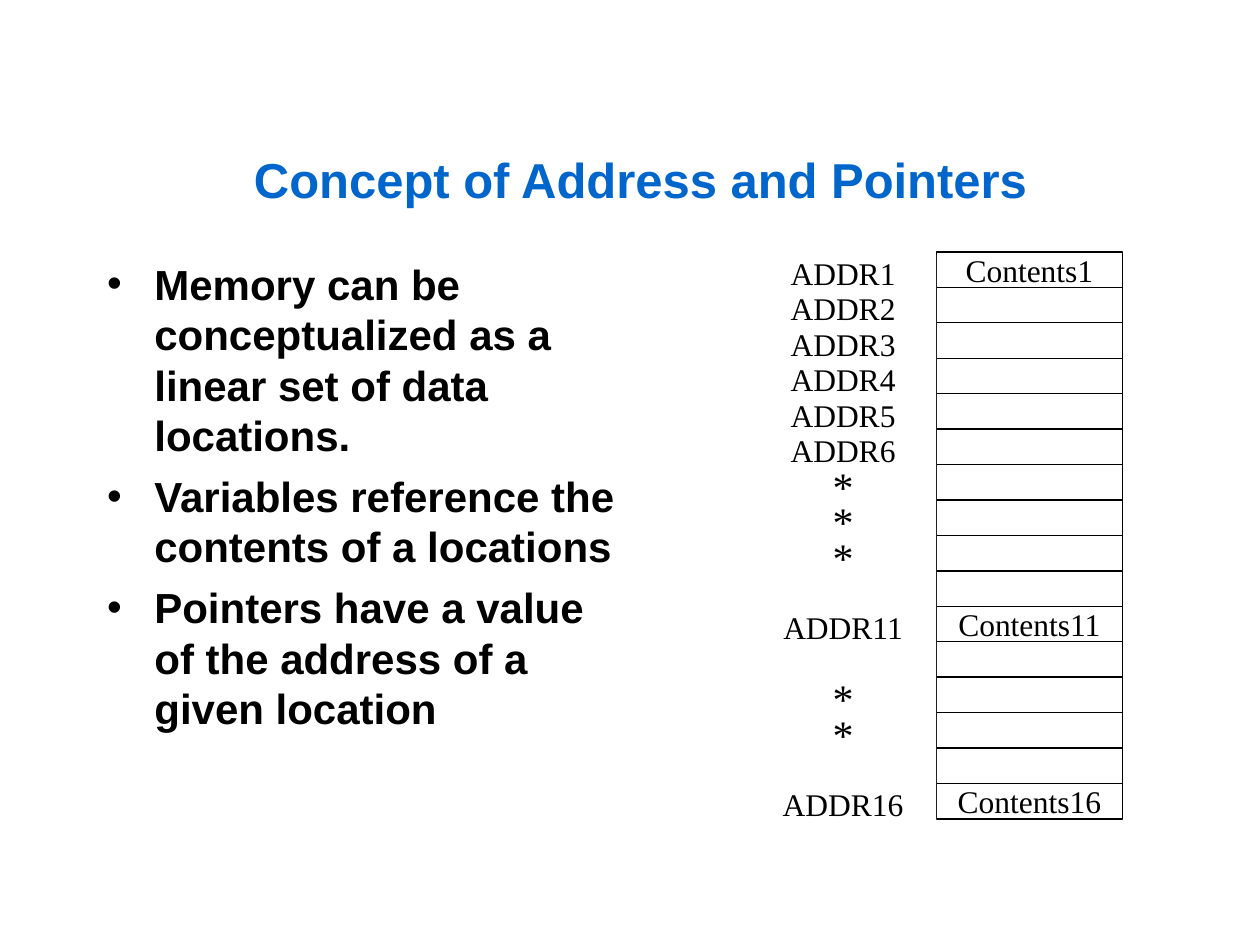
from dataclasses import dataclass
from typing import Optional

from pptx import Presentation
from pptx.dml.color import RGBColor
from pptx.enum.shapes import MSO_SHAPE as Shape
from pptx.enum.text import MSO_ANCHOR as Anchor, MSO_AUTO_SIZE as AutoSize, PP_ALIGN as Align
from pptx.util import Pt


@dataclass(frozen=True)
class Theme:
    title_color: RGBColor = RGBColor(0x00, 0x66, 0xCC)
    ink: RGBColor = RGBColor(0x00, 0x00, 0x00)
    paper: RGBColor = RGBColor(0xFF, 0xFF, 0xFF)
    heading_font: str = "Arial"
    memory_font: str = "Times New Roman"
    title_size: float = 28
    body_size: float = 24
    body_leading: float = 28.8
    label_size: float = 18
    star_size: float = 24
    cell_line: float = 0.75


@dataclass(frozen=True)
class Column:
    """A stack of memory cells; texts maps a 1-based row to what it shows."""
    left: float
    top: float
    texts: dict[int, str]
    line_color: Optional[RGBColor] = None


THEME = Theme()
ROWS = 16
CELL_WIDTH = 106.5
CELL_HEIGHT = 324 / ROWS
CELLS_LEFT = 535
CELLS_TOP = 144

CONTENTS = Column(
    CELLS_LEFT, CELLS_TOP,
    {row: f"Contents{row}" for row in (1, 11, 16)},
    THEME.ink,
)
ADDRESSES = Column(
    CELLS_LEFT - CELL_WIDTH, CELLS_TOP + 1.8,
    {row: f"ADDR{row}" for row in (1, 2, 3, 4, 5, 6, 11, 16)}
    | {row: "*" for row in (7, 8, 9, 13, 14)},
)
POINTS = (
    "Memory can be conceptualized as a linear set of data locations.",
    "Variables reference the contents of a locations",
    "Pointers have a value of the address of a given location",
)


def write(paragraph, text: str, *, font: str, size: float, color: RGBColor,
          bold: bool = False, align: Optional[Align] = None) -> None:
    run = paragraph.add_run()
    run.text = text
    run.font.name = font
    run.font.size = Pt(size)
    run.font.color.rgb = color
    run.font.bold = bold
    paragraph.alignment = align


def place(shape, left: float, top: float, width: float, height: float) -> None:
    shape.left, shape.top = Pt(left), Pt(top)
    shape.width, shape.height = Pt(width), Pt(height)
    shape.text_frame.auto_size = AutoSize.NONE


def fill_title(title) -> None:
    place(title, 60, 84, 612, 36)
    title.text_frame.vertical_anchor = Anchor.MIDDLE
    write(title.text_frame.paragraphs[0], "Concept of Address and Pointers",
          font=THEME.heading_font, size=THEME.title_size,
          color=THEME.title_color, bold=True, align=Align.CENTER)


def fill_body(body) -> None:
    place(body, 54, 144, 306, 324)
    frame = body.text_frame
    for index, point in enumerate(POINTS):
        paragraph = frame.add_paragraph() if index else frame.paragraphs[0]
        paragraph.space_before = Pt(6)
        paragraph.line_spacing = Pt(THEME.body_leading)
        write(paragraph, point, font=THEME.heading_font,
              size=THEME.body_size, color=THEME.ink, bold=True)


def draw_column(slide, column: Column) -> None:
    for row in range(1, ROWS + 1):
        cell = slide.shapes.add_shape(
            Shape.RECTANGLE, Pt(column.left), Pt(column.top + (row - 1) * CELL_HEIGHT),
            Pt(CELL_WIDTH), Pt(CELL_HEIGHT))
        cell.shadow.inherit = False
        cell.fill.solid()
        cell.fill.fore_color.rgb = THEME.paper
        if column.line_color is None:
            cell.line.fill.background()
        else:
            cell.line.color.rgb = column.line_color
            cell.line.width = Pt(THEME.cell_line)
        text = column.texts.get(row)
        if text:
            frame = cell.text_frame
            frame.word_wrap = False
            frame.vertical_anchor = Anchor.MIDDLE
            write(frame.paragraphs[0], text, font=THEME.memory_font,
                  size=THEME.star_size if text == "*" else THEME.label_size,
                  color=THEME.ink, align=Align.CENTER)


def main() -> None:
    presentation = Presentation()
    presentation.slide_width, presentation.slide_height = Pt(720), Pt(540)
    slide = presentation.slides.add_slide(presentation.slide_layouts[1])
    fill_title(slide.shapes.title)
    fill_body(slide.placeholders[1])
    for column in (CONTENTS, ADDRESSES):
        draw_column(slide, column)
    presentation.save("out.pptx")


if __name__ == "__main__":
    main()
